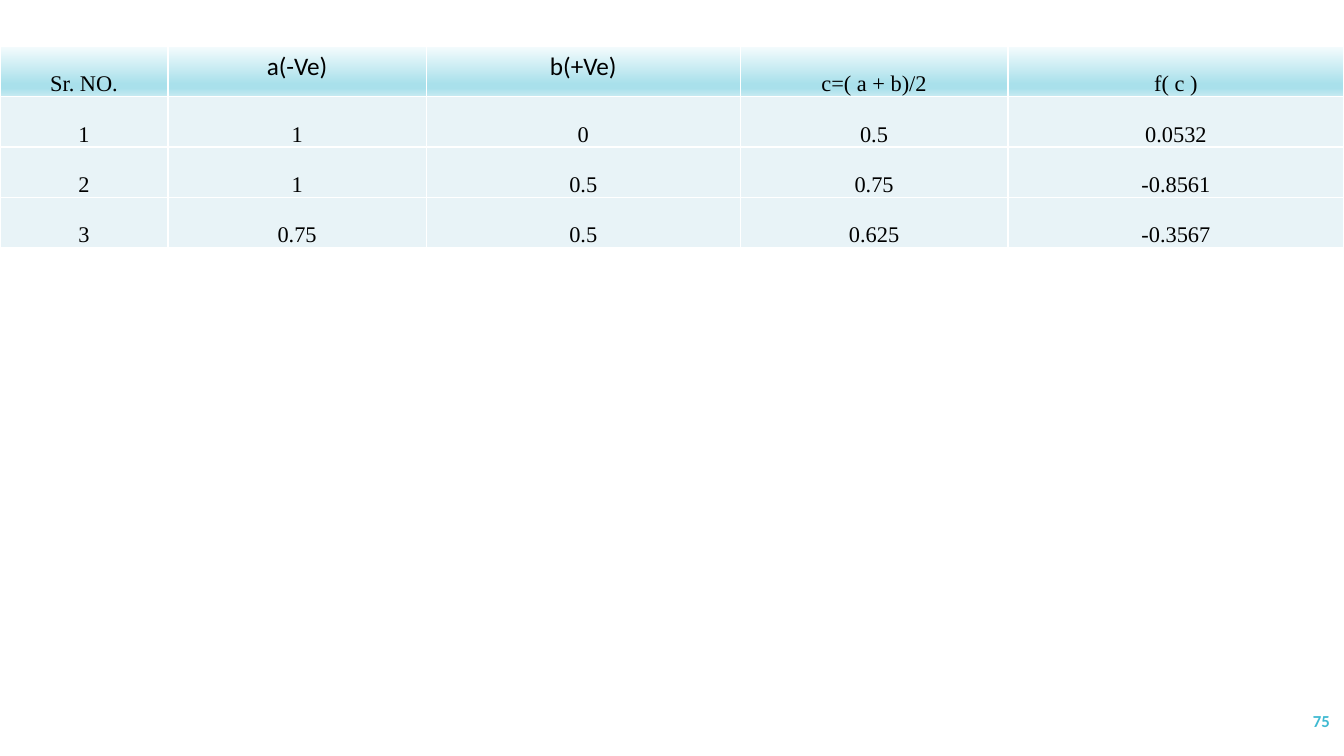
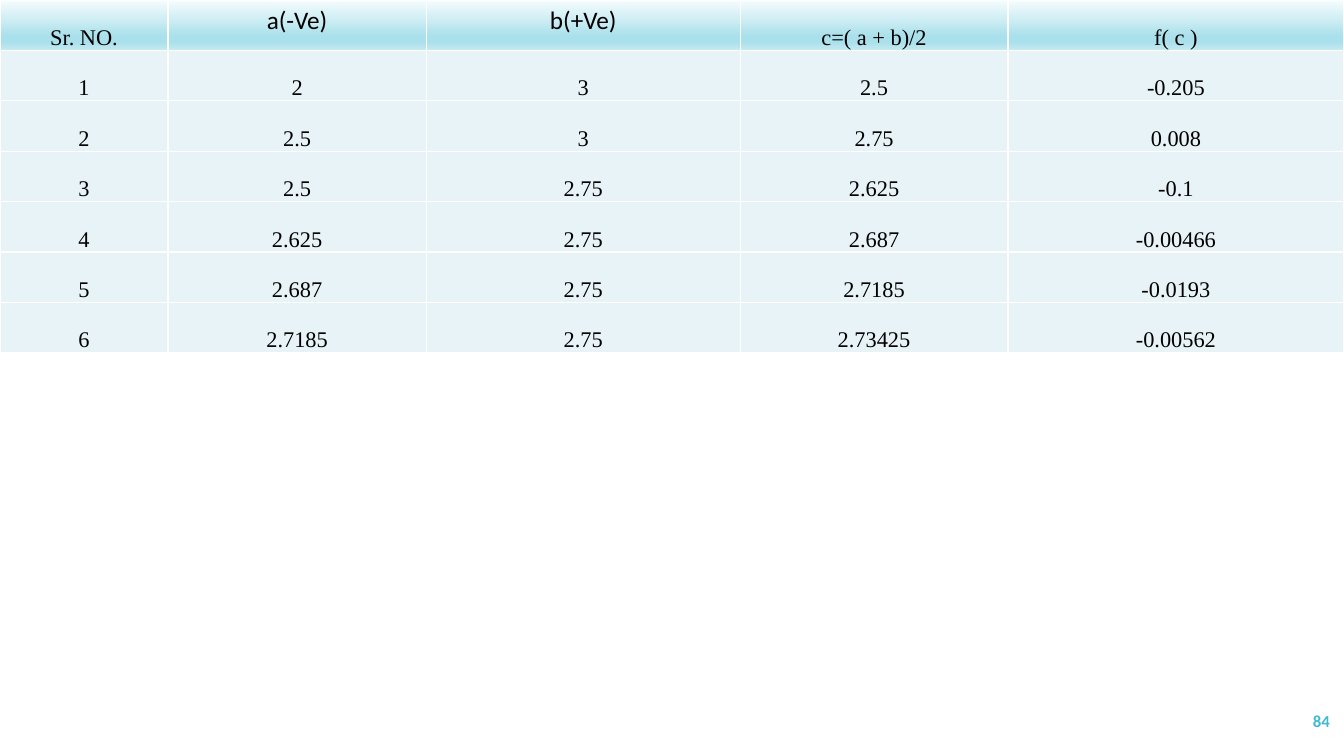
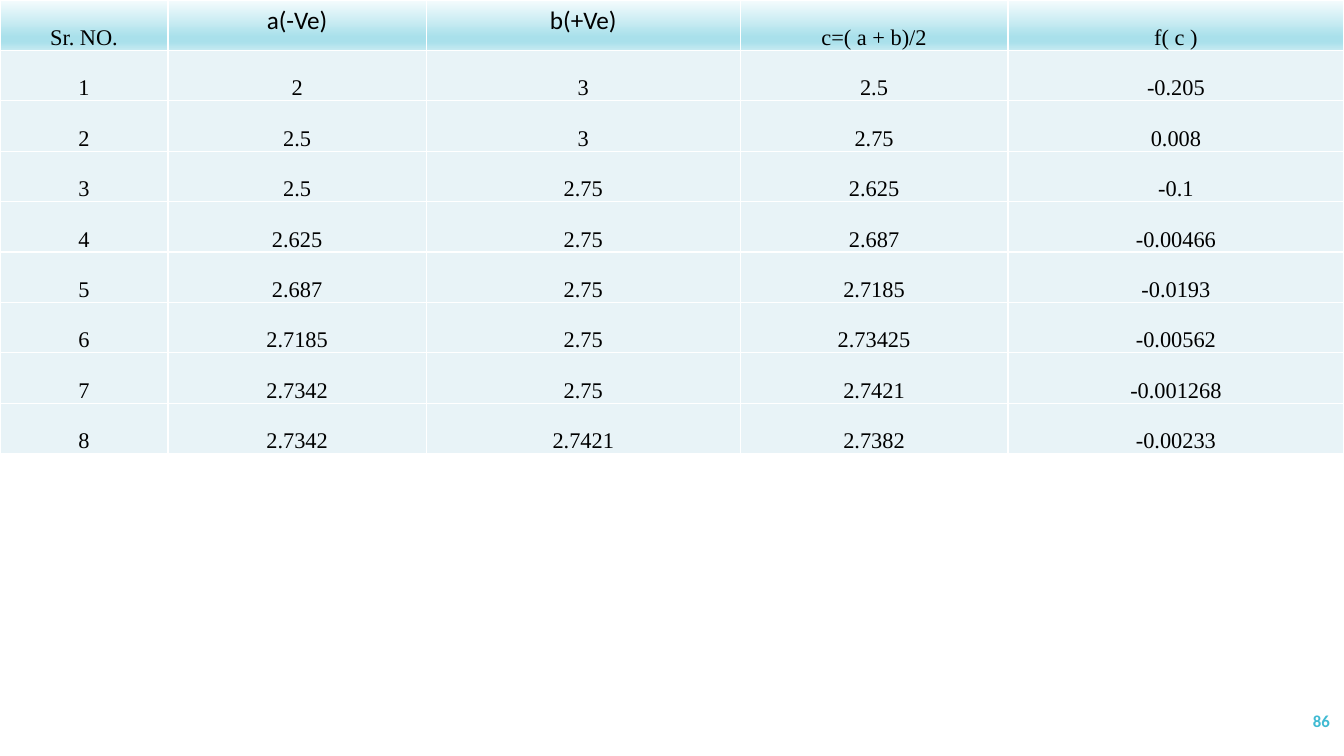
"""Build three slides of bisection iteration tables."""
from pptx import Presentation
from pptx.dml.color import RGBColor
from pptx.enum.text import MSO_ANCHOR, PP_ALIGN
from pptx.oxml import parse_xml
from pptx.oxml.ns import nsdecls
from pptx.util import Pt

CENTER, RIGHT = PP_ALIGN.CENTER, PP_ALIGN.RIGHT
TOP, MIDDLE, BOTTOM = MSO_ANCHOR.TOP, MSO_ANCHOR.MIDDLE, MSO_ANCHOR.BOTTOM
PX = 9525
SLIDE_WIDTH, SLIDE_HEIGHT = 1280, 720
COLORS = {
    "text": "000000", "border": "FFFFFF", "body": "E8F3F7", "page": "40BAD2",
    "header_light": "F5FCFD", "header_deep": "A9E0EB", "header_end": "C6EAF1",
}
HEADER_STOPS = [(0, "header_light"), (74, "header_deep"), (83, "header_deep"), (100, "header_end")]
COLUMN_WIDTHS = [160, 246, 299, 255, 320]
ROW_HEIGHT = 48
HEADINGS = ["Sr. NO.", "a(-Ve)", "b(+Ve)", "c=( a + b)/2", "f( c )"]
BRACKET_HEADINGS = HEADINGS[1:3]

FIRST_ROOT = [
    ["1", "0", "0.5", "0.0532"],
    ["1", "0.5", "0.75", "-0.8561"],
    ["0.75", "0.5", "0.625", "-0.3567"],
]
SECOND_ROOT = [
    ["2", "3", "2.5", "-0.205"],
    ["2.5", "3", "2.75", "0.008"],
    ["2.5", "2.75", "2.625", "-0.1"],
    ["2.625", "2.75", "2.687", "-0.00466"],
    ["2.687", "2.75", "2.7185", "-0.0193"],
    ["2.7185", "2.75", "2.73425", "-0.00562"],
    ["2.7342", "2.75", "2.7421", "-0.001268"],
    ["2.7342", "2.7421", "2.7382", "-0.00233"],
]
PAGES = [("75", 44, FIRST_ROOT), ("84", 0, SECOND_ROOT[:6]), ("86", 0, SECOND_ROOT)]


def write(frame, text, size=16, font="Times New Roman", color="text", bold=False, align=CENTER):
    paragraph = frame.paragraphs[0]
    paragraph.alignment = align
    run = paragraph.add_run()
    run.text = text
    run.font.size = Pt(size)
    run.font.name = font
    run.font.bold = bold
    run.font.color.rgb = RGBColor.from_string(COLORS[color])


def paint(cell, is_header):
    properties = cell._tc.get_or_add_tcPr()
    for side in ("lnL", "lnR", "lnT", "lnB"):
        properties.append(parse_xml(
            f'<a:{side} {nsdecls("a")} w="12700"><a:solidFill>'
            f'<a:srgbClr val="{COLORS["border"]}"/></a:solidFill></a:{side}>'))
    if is_header:
        stops = "".join(
            f'<a:gs pos="{percent * 1000}"><a:srgbClr val="{COLORS[name]}"/></a:gs>'
            for percent, name in HEADER_STOPS)
        properties.append(parse_xml(
            f'<a:gradFill {nsdecls("a")} rotWithShape="1"><a:gsLst>{stops}</a:gsLst>'
            '<a:lin ang="5400000" scaled="0"/></a:gradFill>'))
    else:
        cell.fill.solid()
        cell.fill.fore_color.rgb = RGBColor.from_string(COLORS["body"])


deck = Presentation()
deck.slide_width, deck.slide_height = SLIDE_WIDTH * PX, SLIDE_HEIGHT * PX

for page, table_top, iterations in PAGES:
    slide = deck.slides.add_slide(deck.slide_layouts[6])
    rows = [HEADINGS] + [[str(number), *values] for number, values in enumerate(iterations, 1)]
    steps = slide.shapes.add_table(
        len(rows), len(HEADINGS), 0, table_top * PX,
        SLIDE_WIDTH * PX, len(rows) * ROW_HEIGHT * PX).table
    steps.horz_banding = False
    for column, width in zip(steps.columns, COLUMN_WIDTHS):
        column.width = width * PX
    for row_index, values in enumerate(rows):
        steps.rows[row_index].height = ROW_HEIGHT * PX
        for column_index, value in enumerate(values):
            cell = steps.cell(row_index, column_index)
            paint(cell, row_index == 0)
            if value in BRACKET_HEADINGS:
                cell.vertical_anchor = TOP
                write(cell.text_frame, value, size=18, font="Calibri")
            else:
                cell.vertical_anchor = BOTTOM
                cell.margin_left = cell.margin_top = cell.margin_right = PX
                cell.margin_bottom = 0
                write(cell.text_frame, value)

    page_number = slide.shapes.add_textbox(1116 * PX, 667 * PX, 160 * PX, 38 * PX).text_frame
    page_number.word_wrap = True
    page_number.vertical_anchor = MIDDLE
    write(page_number, page, size=12, font="Calibri", color="page", bold=True, align=RIGHT)

deck.save("out.pptx")
